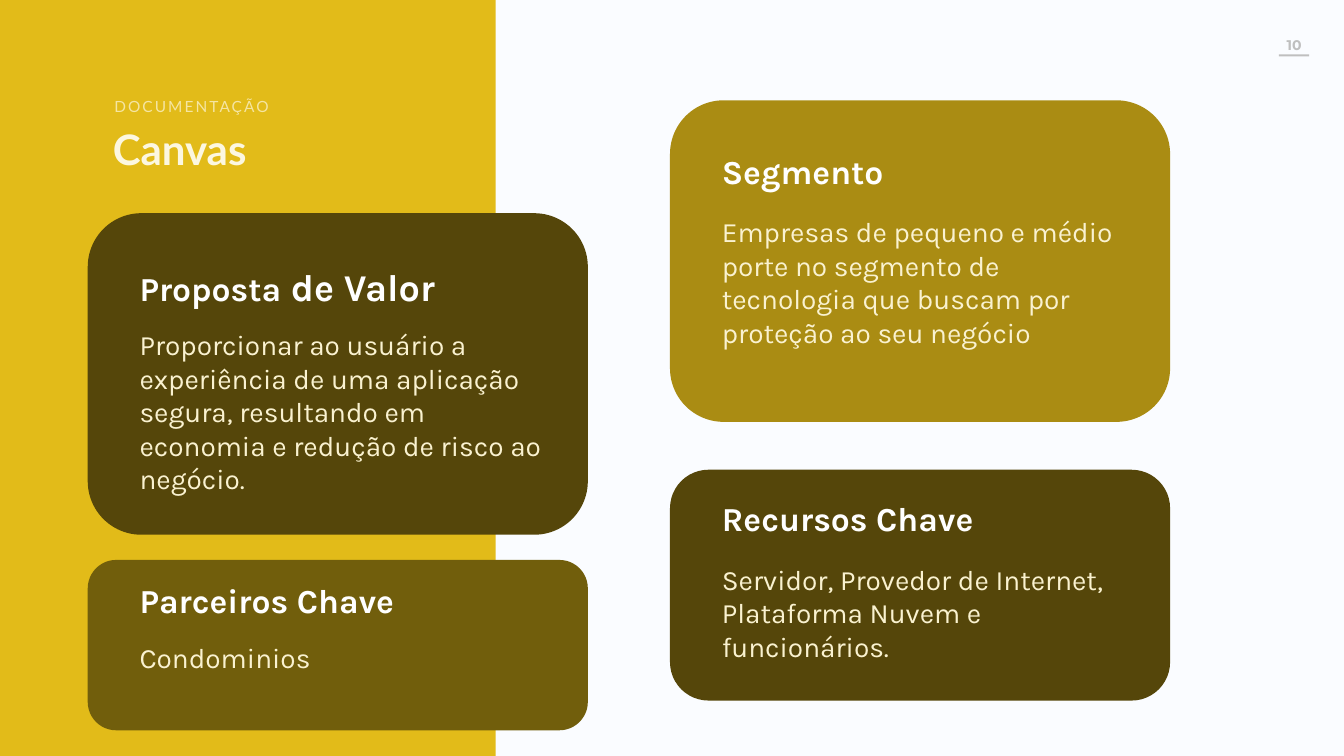
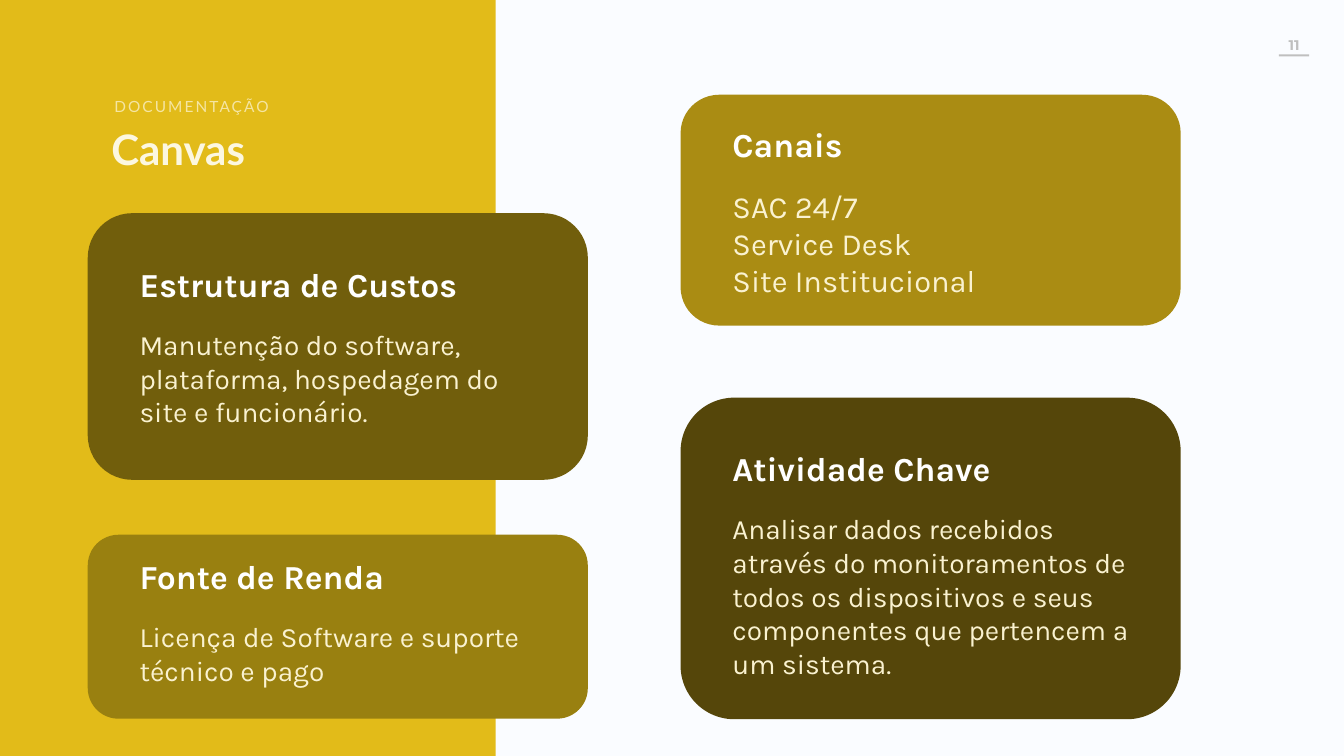
from dataclasses import dataclass

from pptx import Presentation
from pptx.dml.color import RGBColor
from pptx.enum.shapes import MSO_SHAPE
from pptx.enum.text import PP_ALIGN
from pptx.util import Inches, Pt


@dataclass(frozen=True)
class Theme:
    # Colours
    paper: str = "FAFCFF"
    band: str = "E2BB19"
    gold: str = "AA8C13"
    ochre: str = "998010"
    olive: str = "715E0C"
    brown: str = "55460A"
    title: str = "FCF7E0"
    kicker: str = "F5E5A2"
    heading: str = "FFFFFF"
    body: str = "FAF2D0"
    folio: str = "BFBFBF"
    # Fonts
    title_font: str = "Lato"
    card_font: str = "Karla"
    folio_font: str = "Montserrat"
    # Type sizes
    title_size: int = 60
    heading_size: int = 48
    heading_large: int = 54
    body_size: int = 40
    body_large: int = 44
    kicker_size: int = 22
    folio_size: int = 20


T = Theme()
CARD_W = 9.92
CARD_INDENT = 0.93
LEFT_X = 1.74


@dataclass(frozen=True)
class Card:
    x: float
    y: float
    h: float
    color: str
    heading: str
    body: str
    body_h: float
    pad: float = 0.95        # card top to heading
    step: float = 1.27       # heading to body
    body_size: int = T.body_size
    heading_tail: str = ""   # second, larger part of the heading


def format_run(r, font, size, color, bold=False):
    r.font.name = font
    r.font.size = Pt(size)
    r.font.bold = bold
    r.font.color.rgb = RGBColor.from_string(color)


def add_box(shapes, kind, x, y, w, h, color):
    sp = shapes.add_shape(kind, Inches(x), Inches(y), Inches(w), Inches(h))
    sp.shadow.inherit = False
    sp.fill.solid()
    sp.fill.fore_color.rgb = RGBColor.from_string(color)
    sp.line.fill.background()
    return sp


def add_text(shapes, x, y, w, h, text, font, size, color, bold=False, wrap=False):
    sp = shapes.add_textbox(Inches(x), Inches(y), Inches(w), Inches(h))
    tf = sp.text_frame
    tf.word_wrap = wrap
    tf.text = text
    for p in tf.paragraphs:
        for r in p.runs:
            format_run(r, font, size, color, bold)
    return tf


def add_frame(s, number, title_x):
    # Page number and its rule
    tf = add_text(s.shapes, 24.54, 0.67, 2.26, 0.43, str(number),
                  T.folio_font, T.folio_size, T.folio, bold=True)
    tf.paragraphs[0].alignment = PP_ALIGN.CENTER
    add_box(s.shapes, MSO_SHAPE.RECTANGLE, 25.37, 1.08, 0.6, 0.04, T.folio)

    # Side band with title and kicker
    add_box(s.shapes, MSO_SHAPE.RECTANGLE, 0, 0, 9.83, 15, T.band)
    add_text(s.shapes, title_x, 2.41, 3.56, 1.1, "Canvas",
             T.title_font, T.title_size, T.title, bold=True)
    tf = add_text(s.shapes, 2.17, 1.88, 3.6, 0.47, "DOCUMENTAÇÃO",
                  T.title_font, T.kicker_size, T.kicker)
    tf.paragraphs[0].runs[0].font._element.set("spc", "300")


def add_card(s, card):
    shapes = s.shapes.add_group_shape().shapes
    add_box(shapes, MSO_SHAPE.ROUNDED_RECTANGLE,
            card.x, card.y, CARD_W, card.h, card.color)
    x, y = card.x + CARD_INDENT, card.y + card.pad
    tf = add_text(shapes, x, y, 6.69, 0.9, card.heading,
                  T.card_font, T.heading_size, T.heading, bold=True, wrap=True)
    if card.heading_tail:
        r = tf.paragraphs[0].add_run()
        r.text = card.heading_tail
        format_run(r, T.card_font, T.heading_large, T.heading, bold=True)
    add_text(shapes, x, y + card.step, 8.36, card.body_h, card.body,
             T.card_font, card.body_size, T.body, wrap=True)


def add_canvas_slide(prs, number, title_x, cards):
    s = prs.slides.add_slide(prs.slide_layouts[6])
    add_frame(s, number, title_x)
    for card in cards:
        add_card(s, card)


def main():
    prs = Presentation()
    prs.slide_width, prs.slide_height = Inches(26.66), Inches(15)
    fill = prs.slide_master.background.fill
    fill.solid()
    fill.fore_color.rgb = RGBColor.from_string(T.paper)

    # Value proposition, segment, resources and partners
    right_x = 13.29
    add_canvas_slide(prs, 10, 2.14, [
        Card(LEFT_X, 4.23, 6.38, T.brown, "Proposta",
             "Proporcionar ao usuário a experiência de uma aplicação segura, "
             "resultando em economia e redução de risco ao negócio.",
             3.43, heading_tail=" de Valor"),
        Card(right_x, 1.99, 6.38, T.gold, "Segmento",
             "Empresas de pequeno e médio porte no segmento de tecnologia "
             "que buscam por proteção ao seu negócio", 2.76),
        Card(right_x, 9.32, 4.58, T.brown, "Recursos Chave",
             "Servidor, Provedor de Internet, Plataforma Nuvem e funcionários.",
             2.1, pad=0.52),
        Card(LEFT_X, 11.11, 3.38, T.olive, "Parceiros Chave", "Condominios",
             0.77, pad=0.35, step=1.19),
    ])

    # Costs, activity, income and channels
    right_x = 13.5
    add_canvas_slide(prs, 11, 2.11, [
        Card(LEFT_X, 4.23, 5.29, T.olive, "Estrutura de Custos",
             "Manutenção do software, plataforma, hospedagem do site e "
             "funcionário.", 2.1),
        Card(right_x, 7.89, 6.38, T.brown, "Atividade Chave",
             "Analisar dados recebidos através do monitoramentos de todos os "
             "dispositivos e seus componentes que pertencem a um sistema.", 3.43),
        Card(LEFT_X, 10.61, 3.65, T.ochre, "Fonte de Renda",
             "Licença de Software e suporte técnico e pago", 1.43, pad=0.37),
        Card(right_x, 1.88, 4.58, T.gold, "Canais",
             "SAC 24/7\nService Desk\nSite Institucional", 2.3,
             pad=0.52, body_size=T.body_large),
    ])

    prs.save("out.pptx")


if __name__ == "__main__":
    main()
